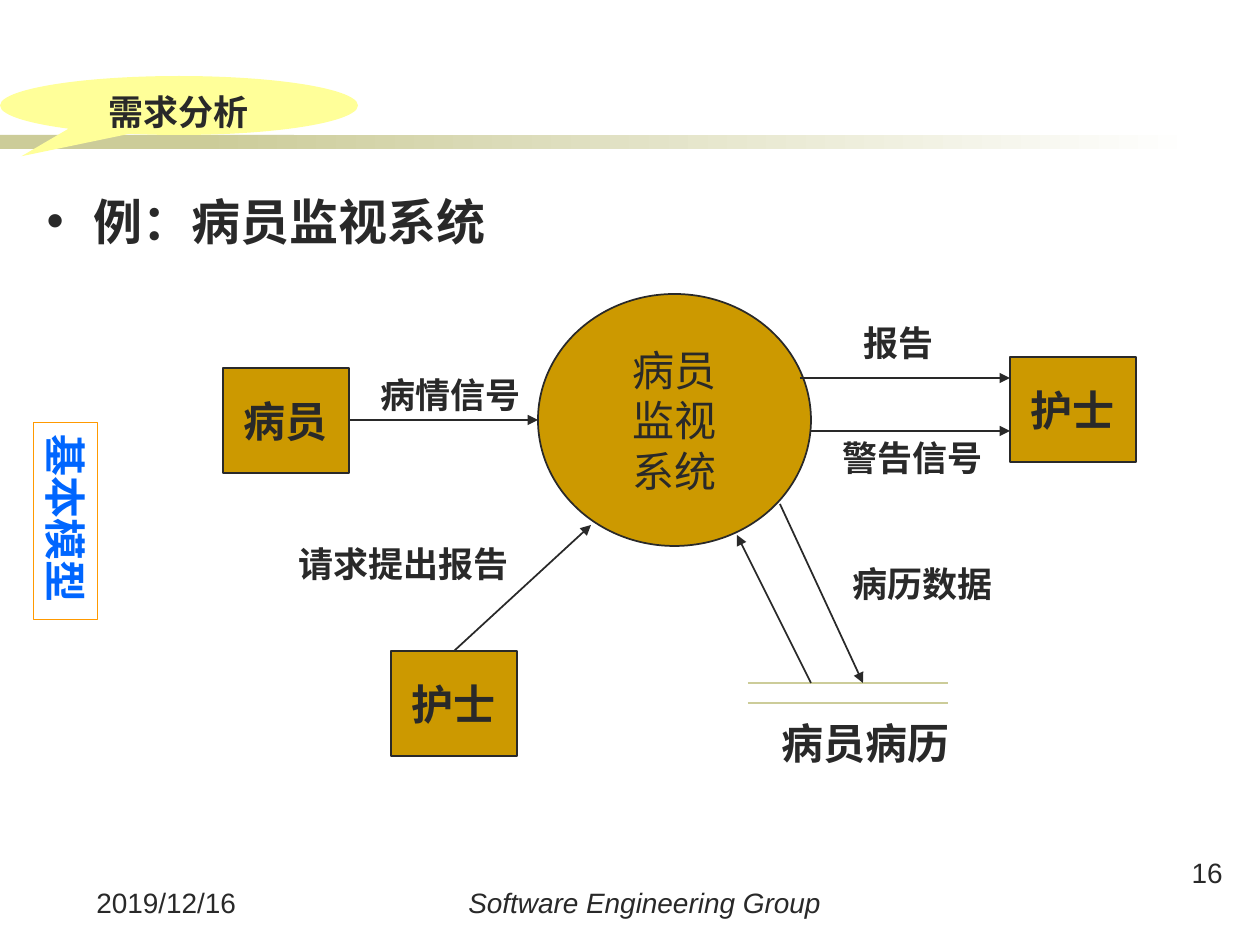
"""Build the patient monitoring slide with its basic data flow model."""
from dataclasses import dataclass

from lxml.etree import SubElement
from pptx import Presentation
from pptx.dml.color import RGBColor
from pptx.enum.lang import MSO_LANGUAGE_ID as Language
from pptx.enum.shapes import MSO_CONNECTOR as Connector, MSO_SHAPE as Shape
from pptx.enum.text import MSO_ANCHOR as Anchor, PP_ALIGN as Align
from pptx.oxml.ns import qn
from pptx.util import Emu, Pt

PX_PER_INCH = 126


def px(length):
    return Emu(round(length * 914400 / PX_PER_INCH))


@dataclass(frozen=True)
class Theme:
    ink: str = "292929"
    blue: str = "0066FF"
    gold: str = "CC9900"
    orange: str = "FF9900"
    olive: str = "CCCC99"
    yellow: str = "FFFF99"
    white: str = "FFFFFF"
    serif: str = "Times New Roman"
    sans: str = "Arial"
    chinese: str = "Noto Sans CJK SC"
    heading: int = 28
    node: int = 24
    label: int = 20
    footer: int = 16


def write(shape, text, size, font, color, bold=False, italic=False,
          align=Align.LEFT, anchor=Anchor.TOP, wrap=True):
    frame = shape.text_frame
    frame.word_wrap = wrap
    frame.vertical_anchor = anchor
    frame.text = text
    for paragraph in frame.paragraphs:
        paragraph.alignment = align
        for run in paragraph.runs:
            run.font.name = font
            run.font.size = Pt(size)
            run.font.bold = bold
            run.font.italic = italic
            run.font.color.rgb = RGBColor.from_string(color)
            run.font.language_id = Language.SIMPLIFIED_CHINESE


class SlideBuilder:
    def __init__(self, slide, theme):
        self.slide = slide
        self.theme = theme

    def shape(self, kind, box, fill=None, line=None):
        shape = self.slide.shapes.add_shape(kind, *map(px, box))
        shape.shadow.inherit = False
        if fill:
            shape.fill.solid()
            shape.fill.fore_color.rgb = RGBColor.from_string(fill)
        else:
            shape.fill.background()
        if line:
            shape.line.color.rgb = RGBColor.from_string(line)
            shape.line.width = Pt(1)
        else:
            shape.line.fill.background()
        return shape

    def fading_bar(self, box):
        fill = self.shape(Shape.RECTANGLE, box).fill
        fill.gradient()
        fill.gradient_angle = 0
        for stop, color in zip(fill.gradient_stops, (self.theme.olive, self.theme.white)):
            stop.color.rgb = RGBColor.from_string(color)

    def heading(self, text, box):
        theme = self.theme
        body = self.slide.placeholders[1]
        body.left, body.top, body.width, body.height = map(px, box)
        paragraph = body.text_frame.paragraphs[0]
        properties = paragraph._p.get_or_add_pPr()
        properties.set("marL", str(px(62)))
        properties.set("indent", str(px(-62)))
        color = SubElement(properties, qn("a:buClr"))
        SubElement(color, qn("a:srgbClr"), val=theme.blue)
        SubElement(properties, qn("a:buSzPct"), val="70000")
        SubElement(properties, qn("a:buChar"), char="➢")
        paragraph.space_before = Pt(0)
        write(body, text, theme.heading, theme.sans, theme.ink, bold=True)

    def callout(self, text, box):
        theme = self.theme
        callout = self.shape(Shape.OVAL_CALLOUT, box, theme.yellow)
        callout.adjustments[0] = -0.44
        callout.adjustments[1] = 0.86
        write(callout, text, theme.label, theme.chinese, theme.ink, bold=True,
              align=Align.CENTER)

    def node(self, text, box, kind=Shape.RECTANGLE, bold=True):
        theme = self.theme
        write(self.shape(kind, box, theme.gold, theme.ink), text, theme.node, theme.serif,
              theme.ink, bold=bold, align=Align.CENTER, anchor=Anchor.MIDDLE, wrap=False)

    def side_tag(self, text, box):
        theme = self.theme
        tag = self.shape(Shape.RECTANGLE, box, line=theme.orange)
        tag.rotation = 90
        write(tag, text, theme.node, theme.serif, theme.blue, bold=True)

    def text(self, text, box, size, font, **style):
        write(self.slide.shapes.add_textbox(*map(px, box)), text, size, font,
              self.theme.ink, **style)

    def label(self, text, box):
        self.text(text, box, self.theme.label, self.theme.serif, bold=True)

    def footer(self, text, box, **style):
        self.text(text, box, self.theme.footer, self.theme.sans, **style)

    def line(self, ends, color, width):
        line = self.slide.shapes.add_connector(Connector.STRAIGHT, *map(px, ends))
        line.line.color.rgb = RGBColor.from_string(color)
        line.line.width = Pt(width)
        SubElement(line._element.spPr, qn("a:effectLst"))
        return line

    def arrow(self, ends):
        arrow = self.line(ends, self.theme.ink, 1)
        SubElement(arrow.line._get_or_add_ln(), qn("a:tailEnd"), type="triangle")


def main():
    presentation = Presentation()
    presentation.slide_width, presentation.slide_height = px(1260), px(945)
    slide = presentation.slides.add_slide(presentation.slide_layouts[1])
    title = slide.shapes.title._element
    title.getparent().remove(title)
    theme = Theme()
    builder = SlideBuilder(slide, theme)

    builder.shape(Shape.RECTANGLE, (0, 135, 294, 14), theme.olive)
    builder.fading_bar((199, 135, 998, 14))
    builder.heading("例：病员监视系统", (34, 185, 496, 79))
    builder.text("病员病历", (769, 711, 194, 63), theme.node, theme.serif, bold=True)

    builder.node("病员\n监视\n系统", (538, 294, 273, 252), Shape.OVAL, bold=False)
    for text, left, top in (("病员", 223, 368), ("护士", 1010, 357), ("护士", 391, 651)):
        builder.node(text, (left, top, 126, 105))

    for y in (683, 703):
        builder.line((748, y, 948, y), theme.olive, 1.5)
    builder.side_tag("基本模型", (-33, 489, 197, 64))

    for ends in (
        (349, 420, 538, 420),
        (800, 378, 1010, 378),
        (811, 431, 1010, 431),
        (454, 651, 591, 525),
        (811, 683, 737, 535),
        (780, 504, 863, 683),
    ):
        builder.arrow(ends)

    for text, left, top, width in (
        ("病情信号", 368, 367, 167),
        ("报告", 851, 315, 97),
        ("警告信号", 830, 430, 167),
        ("病历数据", 840, 556, 167),
        ("请求提出报告", 286, 536, 238),
    ):
        builder.label(text, (left, top, width, 54))

    builder.footer("2019/12/16", (84, 879, 178, 49))
    builder.footer("16", (1106, 849, 129, 63), align=Align.RIGHT)
    builder.footer("Software Engineering Group", (282, 879, 725, 49), italic=True,
                   align=Align.CENTER)
    builder.callout("需求分析", (0, 76, 358, 59))
    presentation.save("out.pptx")


if __name__ == "__main__":
    main()
